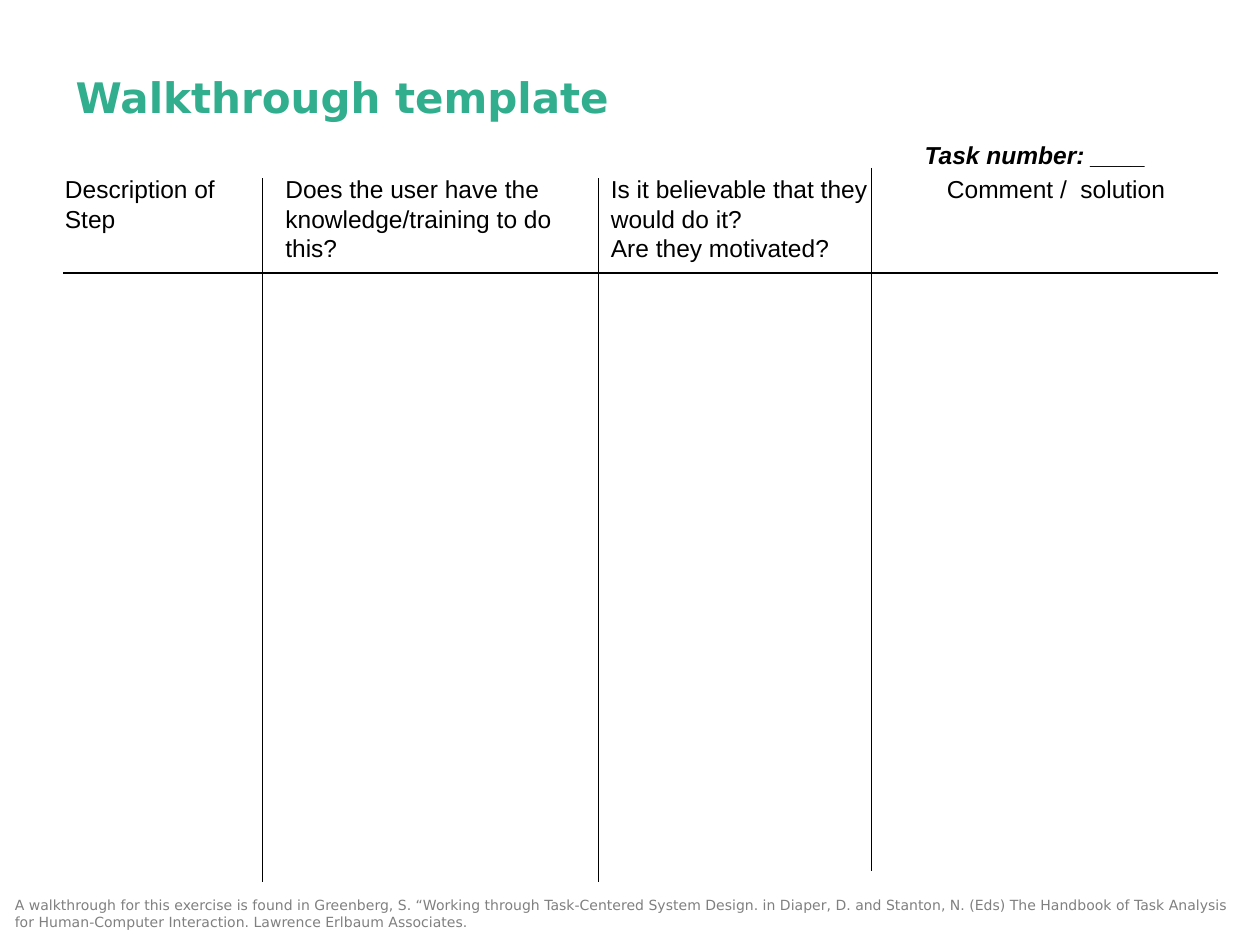
from lxml import etree
from pptx import Presentation
from pptx.dml.color import RGBColor
from pptx.enum.shapes import MSO_CONNECTOR
from pptx.enum.text import MSO_ANCHOR, PP_ALIGN
from pptx.oxml.ns import qn
from pptx.util import Pt

GREEN = RGBColor(0x31, 0xAE, 0x8D)
BLACK = RGBColor(0, 0, 0)
GRAY = RGBColor(0x80, 0x80, 0x80)
HEAD_FONT, BODY_FONT = "DejaVu Sans", "Arial"

TITLE = "Walkthrough template"
TASK = "Task number: ____"
SOURCE = (
    "A walkthrough for this exercise is found in Greenberg, S. “Working through "
    "Task-Centered System Design. in Diaper, D. and Stanton, N. (Eds) The Handbook "
    "of Task Analysis for Human-Computer Interaction. Lawrence Erlbaum Associates."
)
# text, left, width, height
HEADINGS = [
    ("Description of\nStep", 30, 120, 57.6),
    ("Does the user have the knowledge/training to do this?", 156, 180, 57.6),
    ("Is it believable that they would do it?\nAre they motivated?", 342, 180, 57.6),
    ("Comment /  solution", 534, 156, 24),
]
HEADING_TOP = 96
# x1, y1, x2, y2
RULES = [
    (150, 102, 150, 504),
    (342, 102, 342, 504),
    (498, 96, 498, 498),
    (36, 156, 696, 156),
]


def write(shape, text, size, color, font=BODY_FONT, bold=False, italic=False,
          align=PP_ALIGN.LEFT, anchor=MSO_ANCHOR.TOP):
    tf = shape.text_frame
    tf.word_wrap = True
    tf.vertical_anchor = anchor
    p = tf.paragraphs[0]
    p.text = text
    p.alignment = align
    f = p.font
    f.name, f.size, f.bold, f.italic = font, Pt(size), bold, italic
    f.color.rgb = color
    return tf


def add_text(s, box, *args, **style):
    return write(s.shapes.add_textbox(*map(Pt, box)), *args, **style)


def add_rule(s, ends):
    line = s.shapes.add_connector(MSO_CONNECTOR.STRAIGHT, *map(Pt, ends))
    line.line.color.rgb = BLACK
    line.line.width = Pt(1)
    etree.SubElement(line._element.spPr, qn("a:effectLst"))


def main():
    prs = Presentation()
    prs.slide_width, prs.slide_height = Pt(720), Pt(540)
    s = prs.slides.add_slide(prs.slide_layouts[5])

    title = s.shapes.title
    title.left, title.top, title.width, title.height = map(Pt, (36, 21.6, 648, 67.7))
    write(title, TITLE, 24, GREEN, HEAD_FONT, bold=True, anchor=MSO_ANCHOR.MIDDLE)

    for text, left, width, height in HEADINGS:
        add_text(s, (left, HEADING_TOP, width, height), text, 14, BLACK)
    for ends in RULES:
        add_rule(s, ends)

    tf = add_text(s, (522, 76.5, 186, 41), TASK, 14, BLACK, bold=True, italic=True,
                  align=PP_ALIGN.RIGHT)
    tf.margin_left, tf.margin_right = 0, Pt(53)

    tf = add_text(s, (8.5, 508.5, 711.5, 23), SOURCE, 8, GRAY, HEAD_FONT,
                  anchor=MSO_ANCHOR.MIDDLE)
    tf.margin_left = tf.margin_bottom = 0

    prs.save("out.pptx")


if __name__ == "__main__":
    main()
